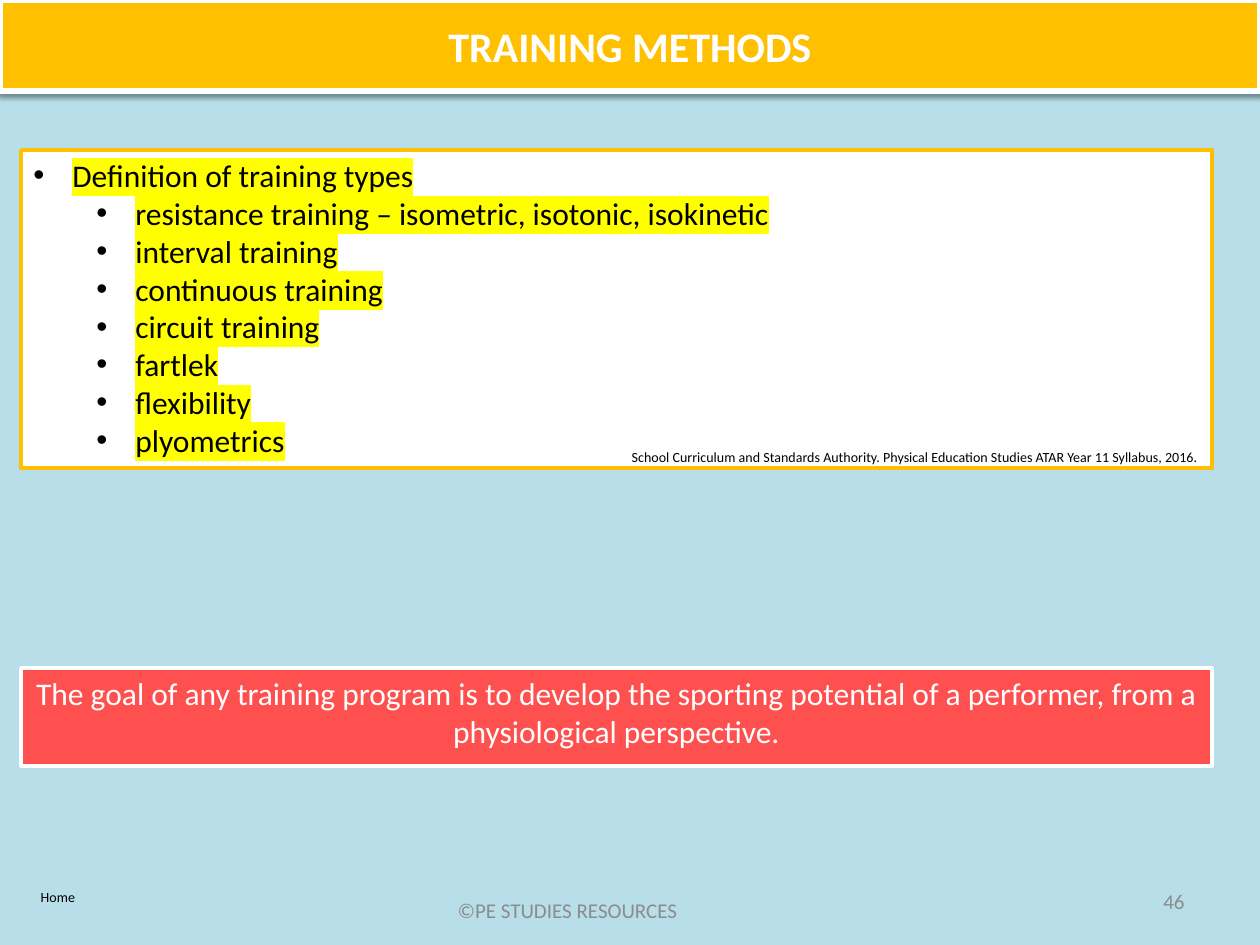
from lxml import etree
from pptx import Presentation
from pptx.dml.color import RGBColor
from pptx.enum.shapes import MSO_SHAPE
from pptx.enum.text import MSO_ANCHOR, PP_ALIGN
from pptx.oxml.ns import qn
from pptx.util import Pt

# Content: (level, text) for the list
TITLE = "TRAINING METHODS"
TRAINING_TYPES = [
    (0, "Definition of training types"),
    (1, "resistance training – isometric, isotonic, isokinetic"),
    (1, "interval training"),
    (1, "continuous training"),
    (1, "circuit training"),
    (1, "fartlek"),
    (1, "flexibility"),
    (1, "plyometrics"),
]
GOAL = ("The goal of any training program is to develop the sporting potential "
        "of a performer, from a physiological perspective.")
CITATION = ("School Curriculum and Standards Authority. Physical Education "
            "Studies ATAR Year 11 Syllabus, 2016.")
COPYRIGHT = "©PE STUDIES RESOURCES"
PAGE = "46"
HOME = "Home"

COLORS = {"sky": "B7DEE9", "gold": "FFC000", "red": "FF5050", "white": "FFFFFF",
          "black": "000000", "grey": "8C8C8C", "marker": "FFFF00"}
FONT = "Calibri"
LEFT, CENTER, RIGHT = PP_ALIGN.LEFT, PP_ALIGN.CENTER, PP_ALIGN.RIGHT
TOP, MIDDLE = MSO_ANCHOR.TOP, MSO_ANCHOR.MIDDLE
RECTANGLE = MSO_SHAPE.RECTANGLE

# Layout in px
SCALE = 914400 / 126
WIDTH, HEIGHT = 1260, 945
BOX_LEFT, BOX_WIDTH = 21, 1191
HANGING, LEVEL_STEP = 39, 63


def px(length):
    return round(length * SCALE)


def rgb(name):
    return RGBColor.from_string(COLORS[name])


def add_color(parent, tag, name):
    holder = etree.SubElement(parent, qn(tag))
    return etree.SubElement(holder, qn("a:srgbClr"), val=COLORS[name])


def write(shape, text, size=18, color="black", bold=False, align=LEFT,
          anchor=TOP, highlight=None):
    """Fill a shape with a string, or with a bulleted list of (level, text)."""
    frame = shape.text_frame
    frame.word_wrap = True
    frame.vertical_anchor = anchor
    bulleted = not isinstance(text, str)
    for index, (level, line) in enumerate(text if bulleted else [(0, text)]):
        paragraph = frame.paragraphs[0] if index == 0 else frame.add_paragraph()
        paragraph.alignment = align
        if bulleted:
            paragraph.level = level
            properties = paragraph._p.get_or_add_pPr()
            properties.set("marL", str(px(HANGING + level * LEVEL_STEP)))
            properties.set("indent", str(px(-HANGING)))
            etree.SubElement(properties, qn("a:buFont"), typeface="Arial")
            etree.SubElement(properties, qn("a:buChar"), char="•")
        run = paragraph.add_run()
        run.text = line
        run.font.size = Pt(size)
        run.font.bold = bold
        run.font.color.rgb = rgb(color)
        if highlight:
            add_color(run._r.rPr, "a:highlight", highlight)
        run.font.name = FONT


def paint(shape, fill, line, line_width):
    shape.fill.solid()
    shape.fill.fore_color.rgb = rgb(fill)
    shape.line.color.rgb = rgb(line)
    shape.line.width = Pt(line_width)
    shape.shadow.inherit = False


def add_panel(top, height, fill, line):
    panel = slide.shapes.add_shape(
        RECTANGLE, px(BOX_LEFT), px(top), px(BOX_WIDTH), px(height))
    paint(panel, fill, line, 2)
    return panel


def add_label(text, left, top, width, height, **style):
    label = slide.shapes.add_textbox(px(left), px(top), px(width), px(height))
    write(label, text, **style)


presentation = Presentation()
presentation.slide_width, presentation.slide_height = px(WIDTH), px(HEIGHT)
slide = presentation.slides.add_slide(presentation.slide_layouts[5])
slide.background.fill.solid()
slide.background.fill.fore_color.rgb = rgb("sky")

# Title banner with a soft shadow below
banner = slide.shapes.title
banner.left, banner.top, banner.width, banner.height = 0, 0, px(WIDTH), px(91)
paint(banner, "gold", "white", 3)
write(banner, TITLE, size=24, color="white", bold=True, align=CENTER, anchor=MIDDLE)
effects = banner._element.spPr.find(qn("a:effectLst"))
shadow = etree.SubElement(effects, qn("a:outerShdw"), blurRad=str(Pt(3.1)),
                          dist=str(Pt(1.6)), dir="5400000", rotWithShape="0")
shadow_color = etree.SubElement(shadow, qn("a:srgbClr"), val=COLORS["black"])
etree.SubElement(shadow_color, qn("a:alpha"), val="38000")

# Footer
add_label(COPYRIGHT, 368, 885, 399, 50, size=12, color="grey", align=CENTER, anchor=MIDDLE)
add_label(PAGE, 903, 876, 294, 50, size=12, color="grey", align=RIGHT, anchor=MIDDLE)
add_label(HOME, 0, 882, 116, 30, size=8, align=CENTER)

# Training types, goal and citation
write(add_panel(150, 318, "white", "gold"), TRAINING_TYPES, highlight="marker")
write(add_panel(668, 98, "red", "white"), GOAL, color="white", align=CENTER)
add_label(CITATION, 333, 442, 878, 30, size=8, align=RIGHT)

presentation.save("out.pptx")
